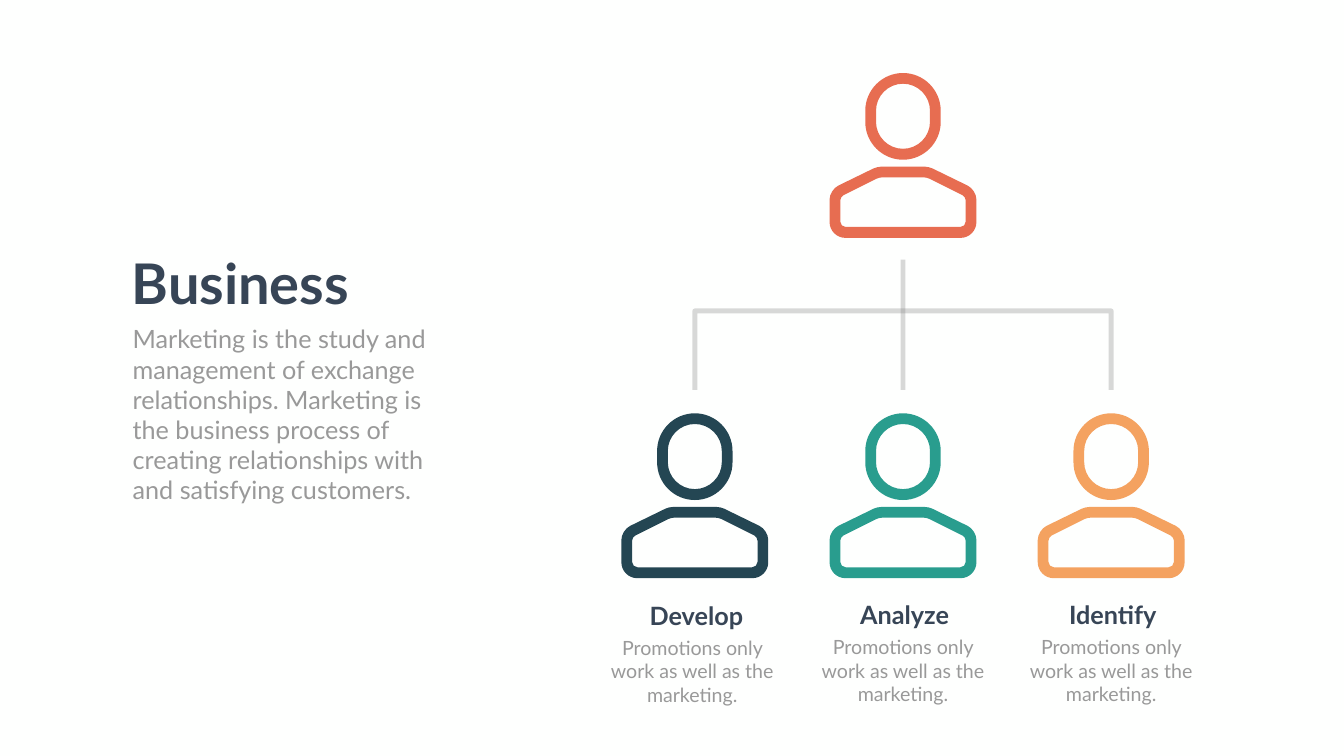
from dataclasses import dataclass

from lxml.etree import SubElement
from pptx import Presentation
from pptx.dml.color import RGBColor
from pptx.enum.shapes import MSO_CONNECTOR
from pptx.enum.text import MSO_ANCHOR, MSO_AUTO_SIZE as AutoSize, PP_ALIGN as Align
from pptx.oxml.ns import qn
from pptx.util import Cm, Pt

COLORS = {
    "background": "FEFFFE",
    "heading": "374556",
    "note": "999999",
    "branch": "808080",
    "leader": "E76D51",
    "develop": "244653",
    "analyze": "299D8E",
    "identify": "F4A260",
}
FONT = "Lato"
ROUNDNESS = 0.55
MIDDLE = 45.5
PITCH = 10.49
LEADER_TOP = 3.68
TEAM_TOP = 20.83
SHOULDERS_OFFSET = 4.72
BRANCH_START, BRANCH_BEND, BRANCH_END = 13.08, 15.67, 19.65
NAME_TOP, NAME_WIDTH, NAME_HEIGHT = 30.08, 6.63, 1.8
NAME_SHIFT = 0.08
NOTE_TOP, NOTE_WIDTH, NOTE_HEIGHT = 31.88, 9.3, 3.84
NOTE = "Promotions only work as well as the marketing."


@dataclass(frozen=True)
class Corner:
    x: float
    y: float
    cut: float


@dataclass(frozen=True)
class Member:
    name: str
    color: str
    note_shift: float = 0
    drop: float = 0


HEAD = [
    [Corner(1.9, 0, 1.9), Corner(1.9, 4.37, 1.9)],
    [Corner(1.36, 0.54, 1.36), Corner(1.36, 3.82, 1.36)],
]
SHOULDERS = [
    [Corner(1.3, 0, 0.2), Corner(3.7, 1.17, 0.49), Corner(3.7, 3.59, 0.8)],
    [Corner(1.2, 0.54, 0.15), Corner(3.16, 1.52, 0.18), Corner(3.16, 3.04, 0.27)],
]
TEAM = [
    Member("Develop", "develop", note_shift=-0.13, drop=0.03),
    Member("Analyze", "analyze"),
    Member("Identify", "identify"),
]


def color_of(key: str) -> RGBColor:
    return RGBColor.from_string(COLORS[key])


def toward(corner: Corner, neighbor: Corner) -> tuple[float, float]:
    dx, dy = neighbor.x - corner.x, neighbor.y - corner.y
    share = corner.cut / (dx * dx + dy * dy) ** 0.5
    return corner.x + dx * share, corner.y + dy * share


def corner_controls(right_half: list[Corner]) -> list[tuple[float, float]]:
    left_half = [Corner(-c.x, c.y, c.cut) for c in reversed(right_half)]
    corners = right_half + left_half
    points = []
    for i, corner in enumerate(corners):
        start = toward(corner, corners[i - 1])
        end = toward(corner, corners[(i + 1) % len(corners)])
        peak = (corner.x, corner.y)
        pull_start = tuple(s + ROUNDNESS * (p - s) for s, p in zip(start, peak))
        pull_end = tuple(e + ROUNDNESS * (p - e) for e, p in zip(end, peak))
        points += [start, pull_start, pull_end, end]
    return points


def bend_corners(ring) -> None:
    outline = ring._element.find(".//" + qn("a:path"))
    steps = [step for step in outline if step.tag != qn("a:close")]
    for i in range(0, len(steps), 4):
        curve, *rest = steps[i + 1:i + 4]
        bezier = SubElement(outline, qn("a:cubicBezTo"))
        curve.addprevious(bezier)
        for step in (curve, *rest):
            bezier.append(step[0])
            outline.remove(step)


def draw_ring(slide, contours: list[list[Corner]], center: float, top: float, color: str) -> None:
    outer, inner = (
        [(Cm(center + x), Cm(top + y)) for x, y in corner_controls(half)]
        for half in contours
    )
    builder = slide.shapes.build_freeform(*outer[0])
    builder.add_line_segments(outer[1:])
    builder.move_to(*inner[0])
    builder.add_line_segments(inner[1:])
    ring = builder.convert_to_shape()
    bend_corners(ring)
    ring.shadow.inherit = False
    ring.fill.solid()
    ring.fill.fore_color.rgb = color_of(color)
    ring.line.fill.background()


def draw_person(slide, center: float, top: float, color: str) -> None:
    draw_ring(slide, HEAD, center, top, color)
    draw_ring(slide, SHOULDERS, center, top + SHOULDERS_OFFSET, color)


def style_branch(branch) -> None:
    branch.line.width = Pt(7)
    branch.line.color.rgb = color_of("branch")
    tint = branch.line._get_or_add_ln().find(".//" + qn("a:srgbClr"))
    SubElement(tint, qn("a:alpha")).set("val", "30000")


def draw_branches(slide) -> None:
    stem = slide.shapes.add_connector(
        MSO_CONNECTOR.STRAIGHT, Cm(MIDDLE), Cm(BRANCH_START), Cm(MIDDLE), Cm(BRANCH_END)
    )
    style_branch(stem)
    SubElement(stem._element.spPr, qn("a:effectLst"))

    left, right = Cm(MIDDLE - PITCH), Cm(MIDDLE + PITCH)
    bend, end = Cm(BRANCH_BEND), Cm(BRANCH_END)
    builder = slide.shapes.build_freeform(left, end)
    builder.add_line_segments([(left, bend), (right, bend), (right, end)], close=False)
    fork = builder.convert_to_shape()
    fork.shadow.inherit = False
    fork.fill.background()
    style_branch(fork)


def write(frame, words: str, size: int, color: str, bold: bool, align: Align) -> None:
    frame.text = words
    frame.auto_size = AutoSize.SHAPE_TO_FIT_TEXT
    frame.vertical_anchor = MSO_ANCHOR.TOP
    frame.word_wrap = True
    paragraph = frame.paragraphs[0]
    paragraph.alignment = align
    paragraph.space_before = Pt(0)
    for run in paragraph.runs:
        run.font.name = FONT
        run.font.size = Pt(size)
        run.font.bold = bold
        run.font.color.rgb = color_of(color)


def place(holder, left: float, top: float, width: float, height: float) -> None:
    holder.left, holder.top = Cm(left), Cm(top)
    holder.width, holder.height = Cm(width), Cm(height)


def draw_member(slide, member: Member, center: float) -> None:
    draw_person(slide, center, TEAM_TOP, member.color)
    name = slide.shapes.add_textbox(
        Cm(center + NAME_SHIFT - NAME_WIDTH / 2), Cm(NAME_TOP + member.drop),
        Cm(NAME_WIDTH), Cm(NAME_HEIGHT),
    )
    write(name.text_frame, member.name, 36, "heading", True, Align.CENTER)
    note = slide.shapes.add_textbox(
        Cm(center + member.note_shift - NOTE_WIDTH / 2), Cm(NOTE_TOP + member.drop),
        Cm(NOTE_WIDTH), Cm(NOTE_HEIGHT),
    )
    write(note.text_frame, NOTE, 28, "note", False, Align.CENTER)


def main() -> None:
    deck = Presentation()
    deck.slide_width, deck.slide_height = Cm(67.72), Cm(38.1)
    slide = deck.slides.add_slide(deck.slide_layouts[1])
    slide.background.fill.solid()
    slide.background.fill.fore_color.rgb = color_of("background")

    title, summary = slide.placeholders
    place(title, 6.38, 12.42, 11.68, 3.68)
    write(title.text_frame, "Business", 80, "heading", True, Align.LEFT)
    title.text_frame.word_wrap = False
    place(summary, 6.43, 16.18, 16.6, 9.5)
    write(
        summary.text_frame,
        "Marketing is the study and management of exchange relationships. "
        "Marketing is the business process of creating relationships with "
        "and satisfying customers.",
        36, "note", False, Align.LEFT,
    )
    properties = summary.text_frame.paragraphs[0]._p.get_or_add_pPr()
    properties.set("marL", "0")
    properties.set("indent", "0")
    SubElement(properties, qn("a:buNone"))

    draw_person(slide, MIDDLE, LEADER_TOP, "leader")
    draw_branches(slide)
    for i, member in enumerate(TEAM):
        draw_member(slide, member, MIDDLE + (i - 1) * PITCH)

    deck.save("out.pptx")


if __name__ == "__main__":
    main()
